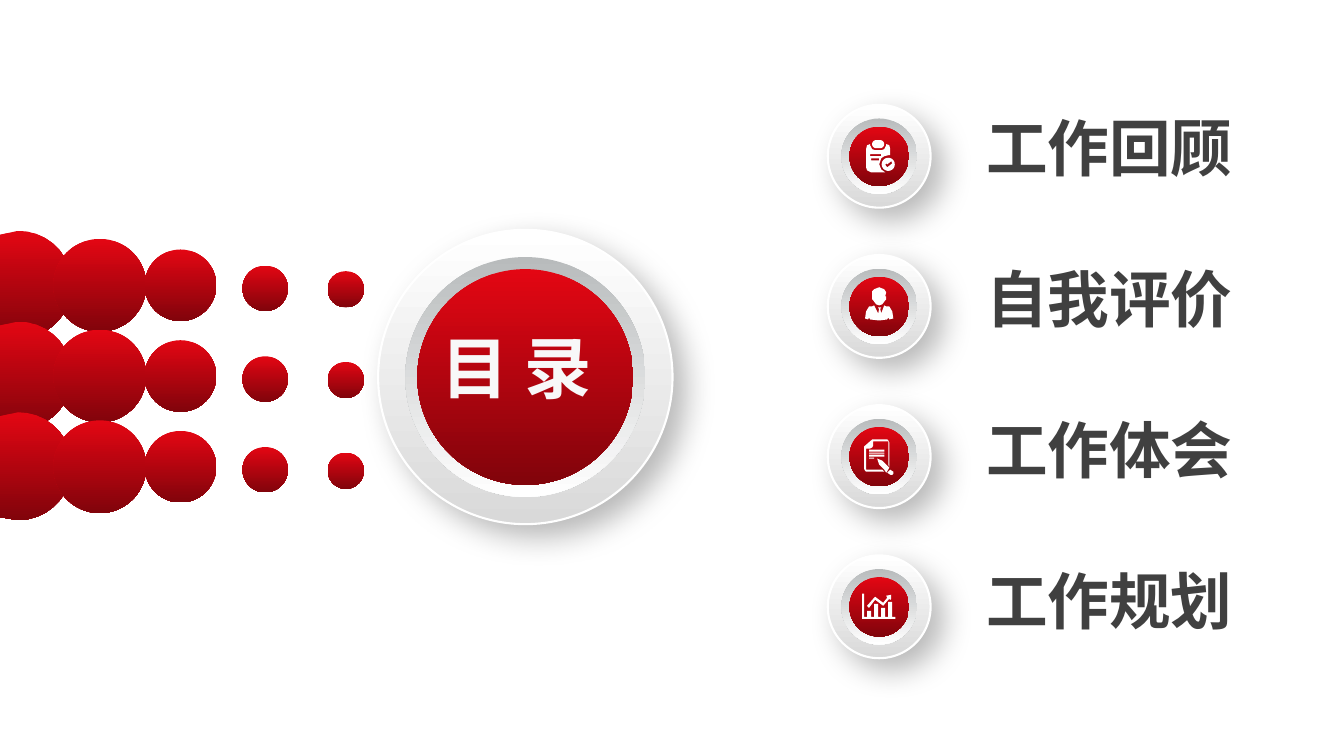
import math
from dataclasses import dataclass

from lxml import etree
from pptx import Presentation
from pptx import util as u
from pptx.dml.color import RGBColor
from pptx.enum import shapes, text
from pptx.oxml import ns


@dataclass(frozen=True)
class Theme:
    red: tuple = ("E30613", "81040B")
    rim: tuple = ("FFFFFF", "D9D9D9")
    well: tuple = ("B8BBBC", "FFFFFF")
    white: str = "FFFFFF"
    heading: str = "F8F8F8"
    ink: str = "404040"
    font: str = "Noto Sans CJK SC"
    heading_size: int = 48
    item_size: int = 44


THEME = Theme()
OVAL = shapes.MSO_SHAPE.OVAL
PILL = shapes.MSO_SHAPE.ROUNDED_RECTANGLE


def arc(cx, cy, r, start=0, end=360):
    return [(cx + r * math.cos(math.radians(a)), cy + r * math.sin(math.radians(a)))
            for a in range(start, end + 1, 10)]


def bar(left, top, right, bottom):
    return [(left, top), (right, top), (right, bottom), (left, bottom)]


CLIPBOARD = [
    arc(-3, -12, 4, 90, 270) + arc(1, -12, 4, -90, 90),
    [(-9, -12), (-12, -11), (-13, -7), (-13, 11), (-12, 14), (-8, 16), (6, 16), (2, 13),
     (0, 8), (2, 2), (5, 0), (9, -1), (11, -1), (11, -7), (10, -11), (7, -12), (7, -11),
     (5, -7), (2, -6), (-4, -6), (-7, -7), (-9, -11)],
    bar(-9, -2, 2, 0), bar(-8, 2, 0, 4),
    arc(9, 8, 6.5),
    [(12, 5), (13, 7), (8, 11), (6, 8.5), (7, 7), (8, 8)],
]
PERSON = [
    [(-10, 0), (-7, 0), (-5, -1), (-1, 7), (0, 2), (-1, 2), (-1, 1), (2, 1), (2, 2),
     (1, 2), (2, 7), (5, -1), (7, 0), (10, 0), (13, 5), (14, 12), (10, 13), (9, 11),
     (8, 13), (0, 14), (-9, 13), (-10, 11), (-11, 13), (-14, 12), (-13, 5)],
    [(-6, -6), (-7, -7), (-7, -15), (-5, -17), (0, -19), (5, -17), (7, -14), (6, -10),
     (7, -10), (7, -7), (6, -6), (3, -2), (0, -1), (-3, -2)],
]
NOTE = [
    [(-13, -8), (-9, -8), (-7, -9), (-6, -11), (-6, -15), (9, -15), (9, 8), (10, 10),
     (10, -14), (9, -16), (8, -17), (-7, -17), (-15, -10), (-15, 12), (-14, 14),
     (-13, 15), (5, 15), (3, 13), (-13, 13)],
    [(-2, 2), (3, 4), (10, 11), (7, 16), (5, 13), (0, 8)],
    [(8, 16), (11, 13), (14, 15), (14, 17), (13, 18), (11, 18)],
    bar(-10, -7, 5, -5), bar(-10, -4, 5, -3), bar(-10, -2, 5, 0), bar(-10, 1, -5, 2),
]
GROWTH = [
    [(-4, -7), (-10, 1), (-12, -1), (-5, -9), (-4, -10), (4, -4), (8, -9), (7, -11),
     (12, -12), (12, -8), (11, -7), (10, -8), (4, -1)],
    [(-17, -13), (-15, -13), (-15, 10), (16, 10), (16, 12), (-17, 12)],
    bar(-12, 4, -8, 10), bar(-5, -3, -1, 10), bar(2, 1, 6, 10), bar(9, -5, 13, 10),
]
TOPICS = [("工作回顾", CLIPBOARD), ("自我评价", PERSON), ("工作体会", NOTE), ("工作规划", GROWTH)]


def paint(shape, colours):
    shape.shadow.inherit = False
    shape.line.fill.background()
    if isinstance(colours, str):
        shape.fill.solid()
        shape.fill.fore_color.rgb = RGBColor.from_string(colours)
        return
    shape.fill.gradient()
    shape.fill.gradient_angle = 270
    for stop, colour in zip(shape.fill.gradient_stops, colours):
        stop.color.rgb = RGBColor.from_string(colour)


def add_disc(slide, cx, cy, size, colours, kind=OVAL):
    disc = slide.shapes.add_shape(kind, u.Inches(cx - size / 2), u.Inches(cy - size / 2),
                                  u.Inches(size), u.Inches(size))
    if kind == PILL:
        disc.adjustments[0] = 0.5
    paint(disc, colours)
    return disc


def add_outline(slide, cx, cy, contours, colours):
    scaled = [[(x * 100, y * 100) for x, y in contour] for contour in contours]
    builder = slide.shapes.build_freeform(*scaled[0][0], scale=u.Inches(1) / 10000)
    builder.add_line_segments(scaled[0][1:], close=True)
    for contour in scaled[1:]:
        builder.move_to(*contour[0])
        builder.add_line_segments(contour[1:], close=True)
    paint(builder.convert_to_shape(u.Inches(cx), u.Inches(cy)), colours)


def cast_shadow(shape):
    effects = shape.element.spPr.find(ns.qn("a:effectLst"))
    shadow = etree.SubElement(effects, ns.qn("a:outerShdw"), blurRad=str(u.Pt(22)),
                              dist=str(u.Pt(12)), dir="2700000", algn="tl", rotWithShape="0")
    colour = etree.SubElement(shadow, ns.qn("a:srgbClr"), val="000000")
    etree.SubElement(colour, ns.qn("a:alpha"), val="28000")


def add_badge(slide, cx, cy, rim_size, well_size, core_size):
    rim = add_disc(slide, cx, cy, rim_size, THEME.rim)
    rim.line.color.rgb = RGBColor.from_string(THEME.white)
    rim.line.width = u.Pt(1.5)
    cast_shadow(rim)
    add_disc(slide, cx, cy, well_size, THEME.well, PILL)
    add_disc(slide, cx, cy, core_size, THEME.red)


def add_words(paragraph, words, size, colour):
    paragraph.alignment = text.PP_ALIGN.LEFT
    run = paragraph.add_run()
    run.text = words
    run.font.size = u.Pt(size)
    run.font.bold = True
    run.font.color.rgb = RGBColor.from_string(colour)
    run.font.name = THEME.font
    etree.SubElement(run.font._element, ns.qn("a:ea"), typeface=THEME.font)


def place(placeholder, left, top, width, height, anchor):
    placeholder.left, placeholder.top = u.Inches(left), u.Inches(top)
    placeholder.width, placeholder.height = u.Inches(width), u.Inches(height)
    frame = placeholder.text_frame
    frame.auto_size = text.MSO_AUTO_SIZE.NONE
    frame.word_wrap = False
    frame.vertical_anchor = anchor
    return frame


def add_dot_trail(slide, top, row_pitch):
    edge = [(0, 4)] + arc(18, 53.5, 53.5, -90, 90) + [(0, 104)]
    dots = [(0.99, 0.54, 0.92), (1.79, 0.54, 0.71), (2.63, 0.57, 0.45), (3.43, 0.58, 0.36)]
    for row in range(3):
        row_top = top + row * row_pitch
        add_outline(slide, 0, row_top, [edge], THEME.red)
        for cx, drop, size in dots:
            add_disc(slide, cx, row_top + drop, size, THEME.red)


def add_heading(slide, cx, cy):
    add_badge(slide, cx, cy, 2.92, 2.38, 2.14)
    title = slide.shapes.title
    frame = place(title, cx - 0.93, cy - 0.56, 1.9, 0.91, text.MSO_ANCHOR.MIDDLE)
    add_words(frame.paragraphs[0], "目 录", THEME.heading_size, THEME.heading)
    title.element.getparent().append(title.element)


def add_contents(slide, left, top, pitch):
    frame = place(slide.placeholders[1], left + 1.47, top, 2.68, 5.4,
                  text.MSO_ANCHOR.TOP)
    for index, (topic, icon) in enumerate(TOPICS):
        cx, cy = left + 0.51, top + 0.51 + index * pitch
        add_badge(slide, cx, cy, 1.02, 0.75, 0.59)
        add_outline(slide, cx, cy, icon, THEME.white)
        paragraph = frame.add_paragraph() if index else frame.paragraphs[0]
        properties = paragraph._p.get_or_add_pPr()
        properties.set("marL", "0")
        properties.set("indent", "0")
        etree.SubElement(properties, ns.qn("a:buNone"))
        paragraph.line_spacing = 1.0
        paragraph.space_before = u.Pt(55.2 if index else 0)
        add_words(paragraph, topic, THEME.item_size, THEME.ink)


def main():
    deck = Presentation()
    deck.slide_width, deck.slide_height = u.Inches(13.33), u.Inches(7.5)
    slide = deck.slides.add_slide(deck.slide_layouts[1])
    add_dot_trail(slide, 2.29, 0.9)
    add_contents(slide, 8.21, 1.04, 1.49)
    add_heading(slide, 5.21, 3.74)
    deck.save("out.pptx")


if __name__ == "__main__":
    main()
